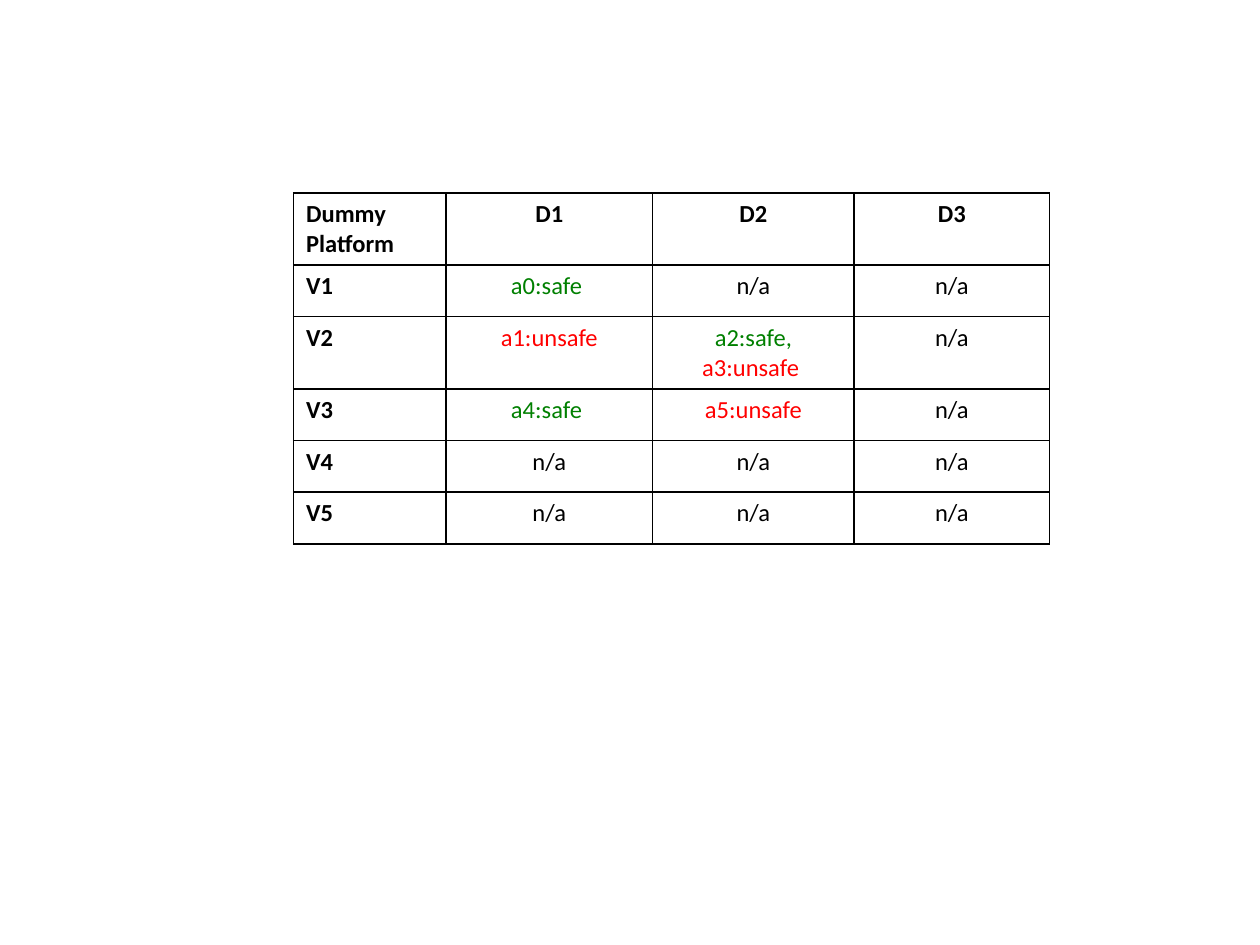
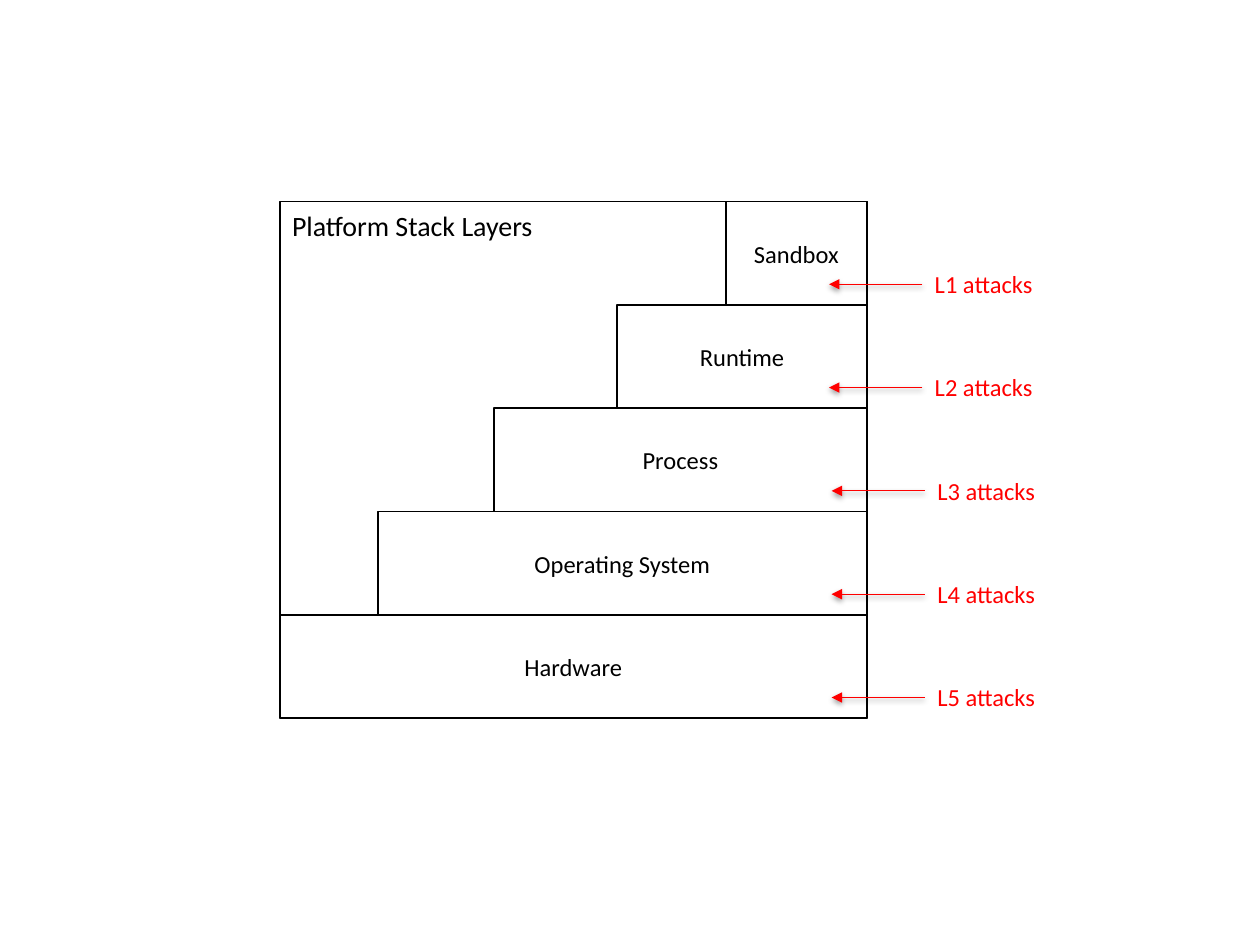
from lxml import etree
from pptx import Presentation
from pptx.dml.color import RGBColor
from pptx.enum.shapes import MSO_CONNECTOR, MSO_SHAPE
from pptx.enum.text import MSO_ANCHOR, MSO_AUTO_SIZE, PP_ALIGN
from pptx.oxml.ns import qn
from pptx.util import Inches, Pt

LEFT, CENTER = PP_ALIGN.LEFT, PP_ALIGN.CENTER
MIDDLE = MSO_ANCHOR.MIDDLE
RECT, STRAIGHT = MSO_SHAPE.RECTANGLE, MSO_CONNECTOR.STRAIGHT
NO_AUTOFIT = MSO_AUTO_SIZE.NONE
BLANK = 6

FONT = "Calibri"
BLACK = RGBColor(0, 0, 0)
WHITE = RGBColor(255, 255, 255)
RED = RGBColor(255, 0, 0)
GREEN = RGBColor(0, 128, 0)

HEADINGS = ["Dummy Platform", "D1", "D2", "D3"]
FINDINGS = [
    ["V1", "a0:safe ", "n/a", "n/a"],
    ["V2", "a1:unsafe", "a2:safe,\na3:unsafe ", "n/a"],
    ["V3", "a4:safe ", "a5:unsafe", "n/a"],
    ["V4", "n/a", "n/a", "n/a"],
    ["V5", "n/a", "n/a", "n/a"],
]
# Layer name, width in percent of the stack, gap from the stack to the attack label
LAYERS = [
    ("Sandbox", 24, 0.44),
    ("Runtime", 42.5, 0.44),
    ("Process", 63.5, 0.46),
    ("Operating System", 83.3, 0.46),
    ("Hardware", 100, 0.46),
]


def write(tf, text, size=14, color=BLACK, bold=False, align=LEFT):
    """Write one paragraph per line; color may be a function of the line."""
    for i, line in enumerate(text.split("\n")):
        p = tf.add_paragraph() if i else tf.paragraphs[0]
        p.alignment = align
        r = p.add_run()
        r.text = line
        r.font.name, r.font.size, r.font.bold = FONT, Pt(size), bold
        r.font.color.rgb = color(line) if callable(color) else color


def verdict_color(line):
    if "unsafe" in line:
        return RED
    return GREEN if "safe" in line else BLACK


def set_borders(cell, color=BLACK, width=1):
    tc_pr = cell._tc.get_or_add_tcPr()
    for i, side in enumerate(("lnL", "lnR", "lnT", "lnB")):
        ln = etree.Element(qn(f"a:{side}"), w=str(Pt(width)))
        fill = etree.SubElement(ln, qn("a:solidFill"))
        etree.SubElement(fill, qn("a:srgbClr"), val=str(color))
        tc_pr.insert(i, ln)


def add_findings_table(s, left, top, col_widths, row_height):
    rows = [HEADINGS] + FINDINGS
    table = s.shapes.add_table(
        len(rows), len(HEADINGS), Inches(left), Inches(top),
        Inches(sum(col_widths)), Inches(row_height * len(rows))).table
    table.first_row = table.horz_banding = False
    for column, width in zip(table.columns, col_widths):
        column.width = Inches(width)
    for i, row in enumerate(rows):
        for j, text in enumerate(row):
            cell = table.cell(i, j)
            cell.fill.background()
            set_borders(cell)
            write(cell.text_frame, text, color=verdict_color,
                  bold=i == 0 or j == 0, align=CENTER if j else LEFT)


def add_box(s, left, top, width, height, text="", fill=None):
    box = s.shapes.add_shape(RECT, Inches(left), Inches(top), Inches(width), Inches(height))
    box.shadow.inherit = False
    if fill is None:
        box.fill.background()
    else:
        box.fill.solid()
        box.fill.fore_color.rgb = fill
    box.line.color.rgb, box.line.width = BLACK, Pt(1)
    if text:
        box.text_frame.vertical_anchor = MIDDLE
        write(box.text_frame, text, align=CENTER)


def add_label(s, left, top, width, height, text, **fmt):
    label = s.shapes.add_textbox(Inches(left), Inches(top), Inches(width), Inches(height))
    tf = label.text_frame
    tf.word_wrap, tf.auto_size = False, NO_AUTOFIT
    write(tf, text, **fmt)
    return label


def add_attack(s, left, y, text, length=0.74, height=0.34):
    """Label starting at left, centred on y, with a shadowed arrow pointing left from it."""
    label = add_label(s, left, y - height / 2, 0.99, height, text, color=RED)
    arrow = s.shapes.add_connector(
        STRAIGHT, Inches(left), Inches(y), Inches(left - length), Inches(y))
    arrow.begin_connect(label, 1)
    arrow.line.color.rgb, arrow.line.width = RED, Pt(0.75)
    etree.SubElement(arrow.line._get_or_add_ln(), qn("a:tailEnd"), type="triangle")
    effects = etree.SubElement(arrow._element.spPr, qn("a:effectLst"))
    shadow = etree.SubElement(effects, qn("a:outerShdw"), blurRad=str(Pt(3.1)),
                              dist=str(Pt(1.6)), dir="5400000", rotWithShape="0")
    color = etree.SubElement(shadow, qn("a:srgbClr"), val=str(BLACK))
    etree.SubElement(color, qn("a:alpha"), val="38000")


def add_layer_stack(s, left, top, width, height):
    """Steps that share the right edge of the box and widen downwards."""
    right, step = left + width, height / len(LAYERS)
    add_box(s, left, top, width, height)
    for i, (name, percent, gap) in enumerate(LAYERS):
        y, layer_width = top + i * step, width * percent / 100
        add_box(s, right - layer_width, y, layer_width, step, name, fill=WHITE)
    for i, (name, percent, gap) in enumerate(LAYERS):
        add_attack(s, right + gap, top + (i + 0.8) * step, f"L{i + 1} attacks")
    add_label(s, left, top + 0.01, 2.16, 0.37, "Platform Stack Layers", size=16)


def main():
    prs = Presentation()
    prs.slide_width, prs.slide_height = Inches(10), Inches(7.5)
    table_slide, stack_slide = (
        prs.slides.add_slide(prs.slide_layouts[BLANK]) for _ in range(2))
    add_findings_table(table_slide, 2.33, 1.53, [1.21, 1.64, 1.6, 1.55], 0.41)
    add_layer_stack(stack_slide, 2.22, 1.6, 4.66, 4.1)
    prs.save("out.pptx")


if __name__ == "__main__":
    main()
